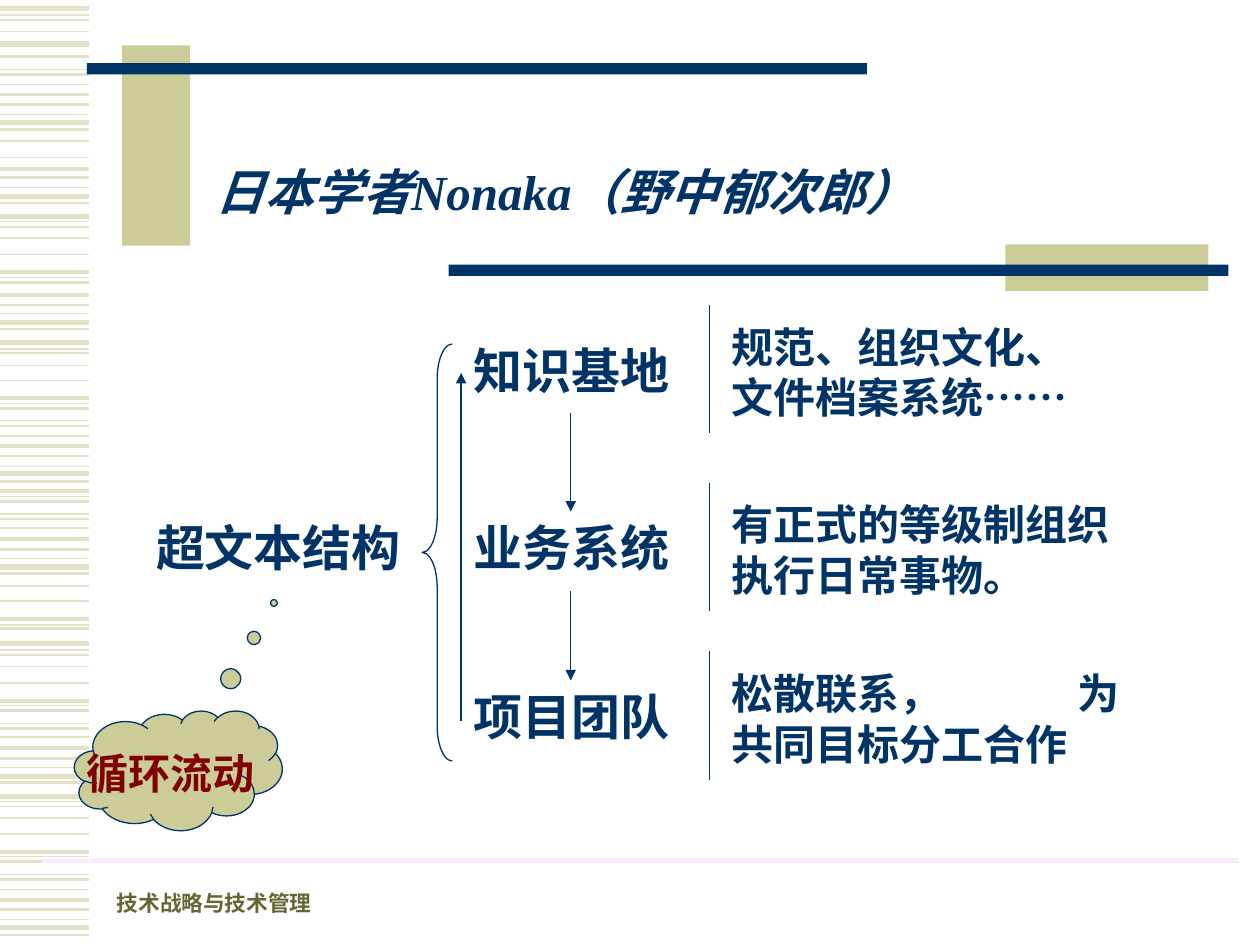
import dataclasses
import pptx
import pptx.dml.color
import pptx.enum.shapes
import pptx.enum.text
import pptx.oxml.ns
import pptx.util
from lxml import etree

Inches = pptx.util.Inches
Kind = pptx.enum.shapes.MSO_SHAPE
Anchor = pptx.enum.text.MSO_ANCHOR
NAVY, KHAKI, OLIVE = "003366", "CCCC99", "666633"
PALE, PINK, MAROON = "E3E2C7", "FBEBFB", "800000"


@dataclasses.dataclass
class Box:
    left: float
    top: float
    width: float
    height: float


@dataclasses.dataclass
class Label:
    text: str
    box: Box
    size: float = 28
    color: str = NAVY
    anchor: Anchor = Anchor.TOP
    tab: float = 0


@dataclasses.dataclass
class Line:
    start: tuple[float, float]
    end: tuple[float, float]
    color: str = NAVY
    weight: float = 0.75
    arrow: bool = False


@dataclasses.dataclass
class Level:
    top: float
    name: str
    note: str
    width: float = 3.31
    height: float = 0.9
    tab: float = 0


STRIPES = {
    0.75: [0.12, 0.55, 0.91, 1.49, 1.76, 2.2, 2.49, 2.77, 3.2, 3.34, 3.7, 3.94, 4.08,
           4.43, 4.96, 5.16, 5.6, 5.74, 6.09, 6.36, 6.8, 6.94, 7.3],
    1: [0.16, 0.25, 0.67, 1.12, 1.25, 1.8, 1.89, 2.02, 2.8, 2.9, 3.02, 3.46, 4.19,
        4.65, 4.77, 5.2, 5.29, 5.42, 5.85, 6.4, 6.49, 6.62, 7.06],
    1.5: [0.45, 0.59, 0.83, 1.03, 1.41, 1.61, 2.24, 2.42, 2.61, 3.24, 3.38, 3.62, 3.82,
          3.98, 4.12, 4.36, 4.55, 4.99, 5.64, 5.78, 6.02, 6.21, 6.84, 6.98, 7.22, 7.42],
    2.25: [0.75, 1.34, 2.16, 2.34, 3.16, 3.54, 3.9, 4.28, 4.91, 5.56, 5.94, 6.76, 7.14],
    3: [0.07, 0.35, 0.97, 1.56, 1.72, 2.56, 2.72, 3.76, 4.5, 5.11, 6.16, 6.32, 7.36],
}
BARS = [
    (Box(0.97, 0.36, 0.54, 1.59), KHAKI),
    (Box(0.69, 0.5, 6.19, 0.09), NAVY),
    (Box(7.98, 1.94, 1.61, 0.37), KHAKI),
    (Box(3.56, 2.1, 6.19, 0.09), NAVY),
]
LEVELS = [
    Level(2.65, "知识基地", "规范、组织文化、文件档案系统……", width=3.15),
    Level(4.06, "业务系统", "有正式的等级制组织执行日常事物。"),
    Level(5.4, "项目团队", "松散联系，\t为共同目标分工合作", height=1.3, tab=2.74),
]
ARROWS = [
    Line((4.53, 4.69), (4.53, 5.4), arrow=True),
    Line((3.66, 5.72), (3.66, 2.96), arrow=True),
    Line((4.53, 3.28), (4.53, 4.06), arrow=True),
]


def paint(color: str) -> pptx.dml.color.RGBColor:
    return pptx.dml.color.RGBColor.from_string(color)


def place(box: Box) -> list[int]:
    return [Inches(side) for side in dataclasses.astuple(box)]


def add_line(slide, line: Line) -> None:
    ends = [Inches(spot) for spot in line.start + line.end]
    wire = slide.shapes.add_connector(pptx.enum.shapes.MSO_CONNECTOR.STRAIGHT, *ends)
    wire.line.color.rgb = paint(line.color)
    wire.line.width = pptx.util.Pt(line.weight)
    if line.arrow:
        tail = etree.SubElement(wire.line._get_or_add_ln(), pptx.oxml.ns.qn("a:tailEnd"))
        tail.set("type", "triangle")
    etree.SubElement(wire._element.spPr, pptx.oxml.ns.qn("a:effectLst"))


def add_form(slide, kind: Kind, box: Box, fill: str = "", edge: str = "",
             adjust: tuple[float, ...] = ()) -> None:
    shape = slide.shapes.add_shape(kind, *place(box))
    shape.shadow.inherit = False
    for index, value in enumerate(adjust):
        shape.adjustments[index] = value
    if fill:
        shape.fill.solid()
        shape.fill.fore_color.rgb = paint(fill)
    else:
        shape.fill.background()
    if edge:
        shape.line.color.rgb = paint(edge)
        shape.line.width = pptx.util.Pt(0.75)
    else:
        shape.line.fill.background()


def write(shape, label: Label, italic: bool = False) -> None:
    frame = shape.text_frame
    frame.word_wrap = True
    frame.auto_size = pptx.enum.text.MSO_AUTO_SIZE.NONE
    frame.vertical_anchor = label.anchor
    para = frame.paragraphs[0]
    para.alignment = pptx.enum.text.PP_ALIGN.LEFT
    if label.tab:
        tabs = etree.SubElement(para._p.get_or_add_pPr(), pptx.oxml.ns.qn("a:tabLst"))
        stop = etree.SubElement(tabs, pptx.oxml.ns.qn("a:tab"))
        stop.set("pos", str(Inches(label.tab)))
        stop.set("algn", "l")
    run = para.add_run()
    run.text = label.text
    run.font.name = "Times New Roman"
    run.font.size = pptx.util.Pt(label.size)
    run.font.bold = True
    run.font.italic = italic
    run.font.color.rgb = paint(label.color)


def add_label(slide, label: Label) -> None:
    write(slide.shapes.add_textbox(*place(label.box)), label)


def add_title(slide, label: Label) -> None:
    title = slide.shapes.title
    title.left, title.top, title.width, title.height = place(label.box)
    write(title, label, italic=True)


def add_level(slide, level: Level) -> None:
    add_label(slide, Label(level.name, Box(3.66, level.top, 2.05, 0.57)))
    rule = level.top - 0.23
    add_line(slide, Line((5.63, rule), (5.63, rule + 1.02)))
    note = Box(5.71, level.top - 0.15, level.width, level.height)
    add_label(slide, Label(level.note, note, size=24, tab=level.tab))


def main() -> None:
    deck = pptx.Presentation()
    deck.slide_width, deck.slide_height = Inches(10), Inches(7.5)
    slide = deck.slides.add_slide(deck.slide_layouts[5])

    for weight, tops in STRIPES.items():
        for top in tops:
            add_line(slide, Line((0, top), (0.71, top), PALE, weight))
    for box, color in BARS:
        add_form(slide, Kind.RECTANGLE, box, fill=color)
    add_line(slide, Line((0.33, 6.83), (9.83, 6.83), PINK, 3))
    add_label(slide, Label("技术战略与技术管理", Box(0.83, 6.98, 2.6, 0.34),
                           12.4, OLIVE, Anchor.BOTTOM))
    add_title(slide, Label("日本学者Nonaka（野中郁次郎）", Box(1.61, 1.23, 6.3, 0.57)))

    add_label(slide, Label("超文本结构", Box(1.14, 4.06, 2.44, 0.57)))
    add_form(slide, Kind.LEFT_BRACE, Box(3.35, 2.73, 0.24, 3.31), edge=NAVY,
             adjust=(1.15, 0.5))
    for level in LEVELS:
        add_level(slide, level)
    for arrow in ARROWS:
        add_line(slide, arrow)
    add_form(slide, Kind.CLOUD_CALLOUT, Box(0.59, 5.64, 1.65, 0.95), KHAKI, NAVY,
             adjust=(0.46, -1.4))
    add_label(slide, Label("循环流动", Box(0.59, 5.88, 1.65, 0.5), 24, MAROON))
    deck.save("out.pptx")


if __name__ == "__main__":
    main()
